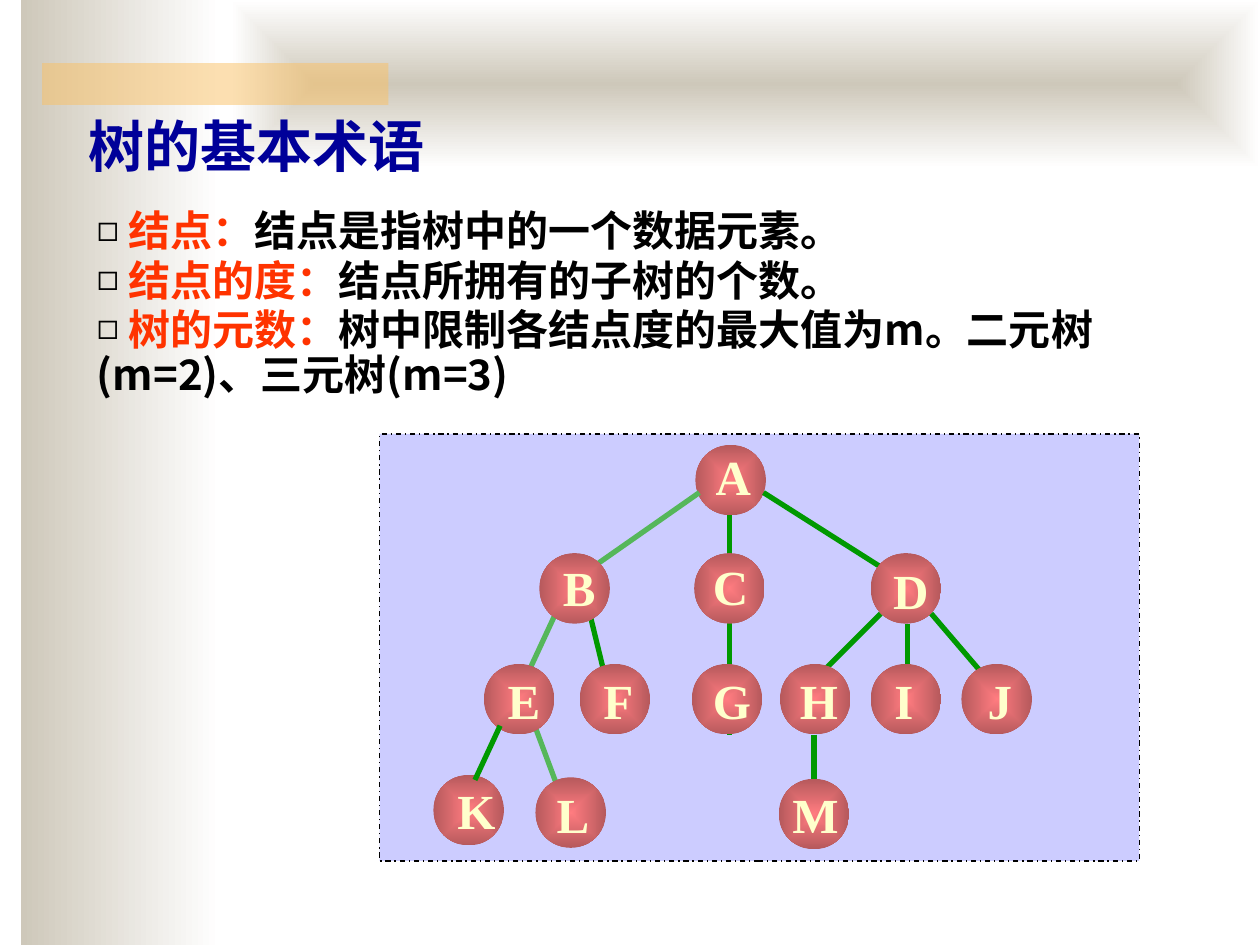
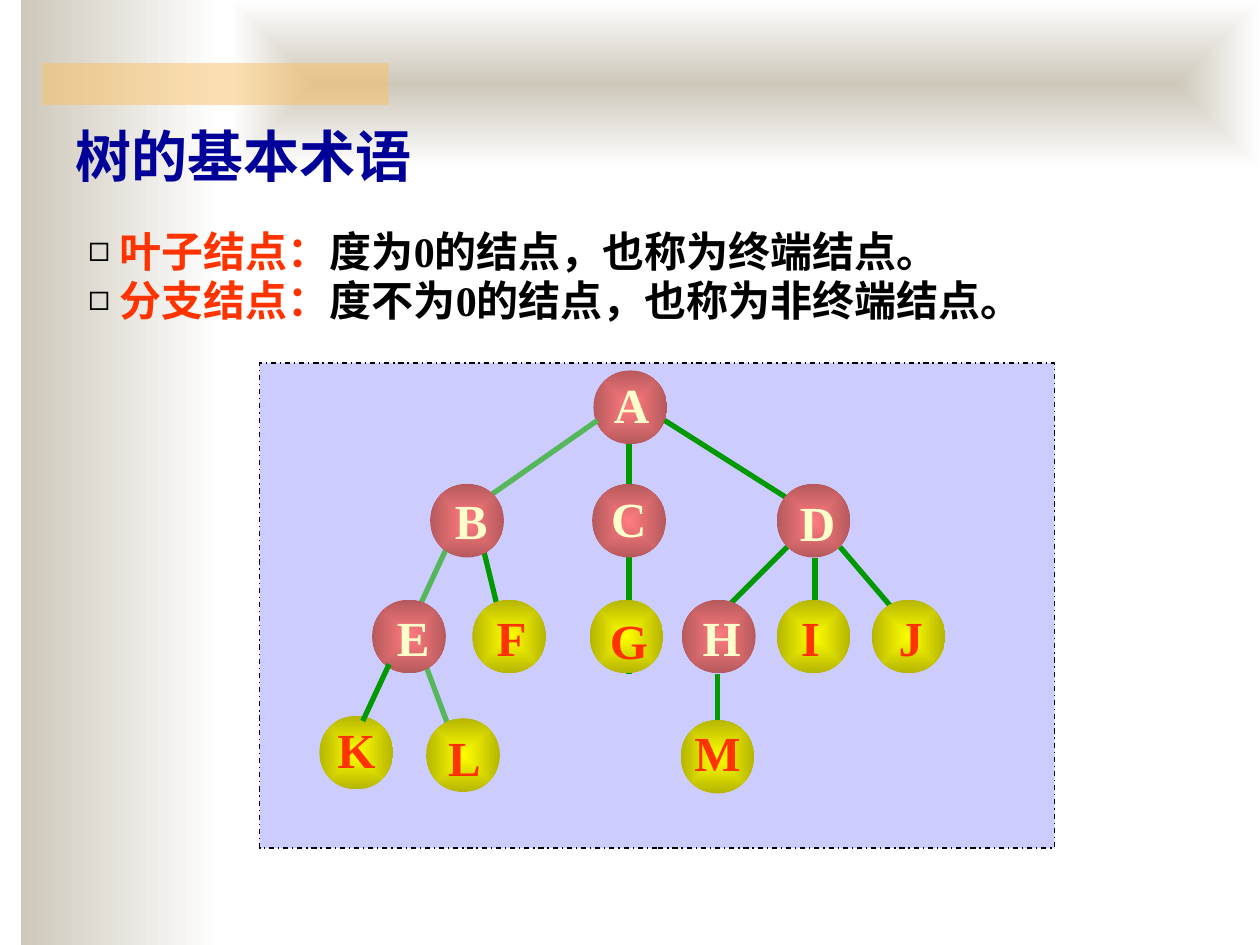
"""Build two slides on basic tree terms, each with a tree drawing."""
from pptx import Presentation
from pptx import util as u
from pptx.dml.color import RGBColor
from pptx.enum import dml, shapes, text
from pptx.oxml import parse_xml
from pptx.oxml.ns import nsdecls, qn

Pt = u.Pt
hue = RGBColor.from_string
NS = nsdecls("a")
SANS, SERIF = "Noto Sans CJK SC", "Times New Roman"
BLACK, RED, NAVY, CREAM = "000000", "FF3300", "000099", "FFFFCC"
GREEN, LIGHT, SAND, WHITE = "009900", "55B75A", "CEC8BA", "FFFFFF"
ROSE, GOLD = ("FF7C80", "B6595C"), ("FFFF00", "B6B600")
RECT, OVAL = shapes.MSO_SHAPE.RECTANGLE, shapes.MSO_SHAPE.OVAL


def blend(shape, tones, round=True):
    """Fill a shape with two tones, from the centre out or left to right."""
    shape.shadow.inherit = False
    shape.line.fill.background()
    shape.fill.gradient()
    shape.fill.gradient_angle = 0
    for stop, tone, pos in zip(shape.fill.gradient_stops, tones, (0, 1)):
        stop.color.rgb, stop.position = hue(tone), pos
    if round:
        lin = shape.element.find(".//" + qn("a:lin"))
        lin.getparent().replace(lin, parse_xml(
            f'<a:path {NS} path="shape"><a:fillToRect l="50000" t="50000" '
            'r="50000" b="50000"/></a:path>'))


def write(para, words, size, tone, face):
    """Add one bold run."""
    run = para.add_run()
    run.text = words
    font = run.font
    font.size, font.bold, font.name = Pt(size), True, face
    font.color.rgb = hue(tone)
    font._element.append(parse_xml(f'<a:ea {NS} typeface="{SANS}"/>'))


# name: circle left, top; label left, top, width
NODES = {
    "A": (397.4, 254.2, 401.8, 252.7, 33),
    "B": (308.2, 316.1, 314.6, 316.1, 32),
    "C": (396.7, 316.1, 400.3, 315.4, 33),
    "D": (497.5, 316.1, 503.3, 317.5, 33),
    "E": (276.5, 379.4, 283, 380.2, 32),
    "F": (331.2, 379.4, 337.7, 380.2, 30),
    "G": (395.3, 379.4, 400.3, 380.2, 35),
    "H": (445.7, 379.4, 450, 380.2, 35),
    "I": (497.5, 379.4, 504, 380.2, 24),
    "J": (549.4, 379.4, 557.3, 380.2, 27),
    "K": (247.7, 442.8, 254.2, 443.5, 35),
    "L": (306, 444.2, 311, 445.7, 32),
    "M": (445, 445, 445.7, 445.7, 39),
}
EDGES = [
    (532.1, 350.6, 566.6, 391, GREEN),
    (503.3, 350.6, 468.7, 385.2, GREEN),
    (518.4, 356.4, 518.4, 385.2, GREEN),
    (465.1, 419.8, 465.1, 454.3, GREEN),
    (436.3, 281.5, 509, 327.6, GREEN),
    (399.6, 281.5, 342, 321.8, LIGHT),
    (416.9, 294.5, 416.9, 419.8, GREEN),
    (337, 350.6, 347, 391.7, GREEN),
    (305.3, 414, 318.2, 448.6, LIGHT),
    (317.5, 350.6, 303.1, 381.6, LIGHT),
    (285.8, 414.7, 271.4, 445.7, GREEN),
]
PAGES = [
    dict(title=(43.2, 60.5), body=(48.2, 116.6, 617.8, 118), inset=7.2,
         frame=(217, 248, 434, 244), root=(397.4, 254.2), scale=1,
         leaves="", nudge={},
         terms=[
             [(" 结点：", RED, SANS), ("结点是指树中的一个数据元素。", BLACK, SANS)],
             [(" 结点的度：", RED, SANS), ("结点所拥有的子树的个数。", BLACK, SANS)],
             [(" 树的元数：", RED, SANS),
              ("树中限制各结点度的最大值为m。二元树(m=2)、三元树(m=3)", BLACK, SANS)]]),
    dict(title=(36, 66.2), body=(50.4, 128.2, 635, 62), inset=0,
         frame=(148.3, 207.4, 454.3, 277.2), root=(339.1, 211.7), scale=1.046,
         leaves="FGIJKLM", nudge={"K": (-4, -2), "M": (0, -3), "G": (-1, 2)},
         terms=[
             [(" 叶子结点：", RED, SANS), ("度为", BLACK, SANS), ("0", BLACK, SERIF),
              ("的结点，也称为终端结点。", BLACK, SANS)],
             [(" 分支结点：", RED, SANS), ("度不为", BLACK, SANS), ("0", BLACK, SERIF),
              ("的结点，也称为非终端结点。", BLACK, SANS)]]),
]

deck = Presentation()
deck.slide_width, deck.slide_height = Pt(720), Pt(540)
plan = deck.slide_layouts[1]

for num, page in enumerate(PAGES):
    slide = deck.slides.add_slide(plan)
    if num == 0:
        side, top, bar = [
            slide.shapes.add_shape(RECT, *map(Pt, box)) for box in
            ((12, 0, 114, 540), (132, 0, 588, 96), (24, 36, 198, 24))]
        blend(side, (SAND, WHITE), round=False)
        blend(top, (SAND, WHITE))
        bar.shadow.inherit = False
        bar.line.fill.background()
        bar.fill.solid()
        bar.fill.fore_color.rgb = hue("FAC164")
        bar.element.find(".//" + qn("a:srgbClr")).append(
            parse_xml(f'<a:alpha {NS} val="50000"/>'))
        for spot, band in enumerate((side, top, bar), 2):
            plan.shapes.element.insert(spot, band.element)

    title, body = slide.shapes.title, slide.placeholders[1]
    for hold, box in ((title, (*page["title"], 312, 45.4)), (body, page["body"])):
        hold.left, hold.top, hold.width, hold.height = map(Pt, box)
        frame = hold.text_frame
        frame.word_wrap = True
        frame.auto_size = text.MSO_AUTO_SIZE.NONE
        frame.vertical_anchor = text.MSO_ANCHOR.TOP
    para = title.text_frame.paragraphs[0]
    para.alignment = text.PP_ALIGN.LEFT
    para.line_spacing = Pt(38)
    write(para, "树的基本术语", 32, NAVY, SERIF)

    frame = body.text_frame
    frame.margin_left = frame.margin_right = Pt(page["inset"])
    for row, term in enumerate(page["terms"]):
        para = frame.add_paragraph() if row else frame.paragraphs[0]
        para.line_spacing, para.space_before = Pt(25.7), Pt(2.4)
        prop = para._p.get_or_add_pPr()
        prop.set("marL", "0")
        prop.set("indent", "0")
        for tag in (f'<a:buClr {NS}><a:srgbClr val="{BLACK}"/></a:buClr>',
                    f'<a:buSzPct {NS} val="85000"/>',
                    f'<a:buChar {NS} char="◻"/>'):
            prop.append(parse_xml(tag))
        for words, tone, face in term:
            write(para, words, 24, tone, face)

    tree = slide.shapes.add_group_shape().shapes
    panel = tree.add_shape(RECT, *map(Pt, page["frame"]))
    panel.shadow.inherit = False
    panel.fill.solid()
    panel.fill.fore_color.rgb = hue("CCCCFF")
    panel.line.color.rgb = hue(BLACK)
    panel.line.width = Pt(0.75)
    panel.line.dash_style = dml.MSO_LINE.DASH_DOT

    scale, (left, top) = page["scale"], page["root"]
    base = NODES["A"]
    dx, dy = left - base[0] * scale, top - base[1] * scale
    size = Pt(40.3 * scale)
    lines = []
    for x1, y1, x2, y2, tone in EDGES:
        line = tree.add_connector(
            shapes.MSO_CONNECTOR.STRAIGHT,
            Pt(x1 * scale + dx), Pt(y1 * scale + dy),
            Pt(x2 * scale + dx), Pt(y2 * scale + dy))
        line.line.color.rgb, line.line.width = hue(tone), Pt(3)
        line.element.spPr.append(parse_xml(f"<a:effectLst {NS}/>"))
        lines.append(line)
    for name, (x, y, *_) in NODES.items():
        ball = tree.add_shape(OVAL, Pt(x * scale + dx), Pt(y * scale + dy), size, size)
        blend(ball, GOLD if name in page["leaves"] else ROSE)
        if name == "A":
            lines[0].element.addprevious(ball.element)
    for name, (_, _, x, y, wide) in NODES.items():
        mx, my = page["nudge"].get(name, (0, 0))
        label = tree.add_textbox(
            Pt(x * scale + dx + mx), Pt(y * scale + dy + my),
            Pt(wide * scale), Pt(39 * scale)).text_frame
        label.word_wrap = False
        label.vertical_anchor = text.MSO_ANCHOR.MIDDLE
        para = label.paragraphs[0]
        para.alignment = text.PP_ALIGN.CENTER
        write(para, name, 28, RED if name in page["leaves"] else CREAM, SERIF)
    panel.element.getparent().append(lines[-1].element)

deck.save("out.pptx")
